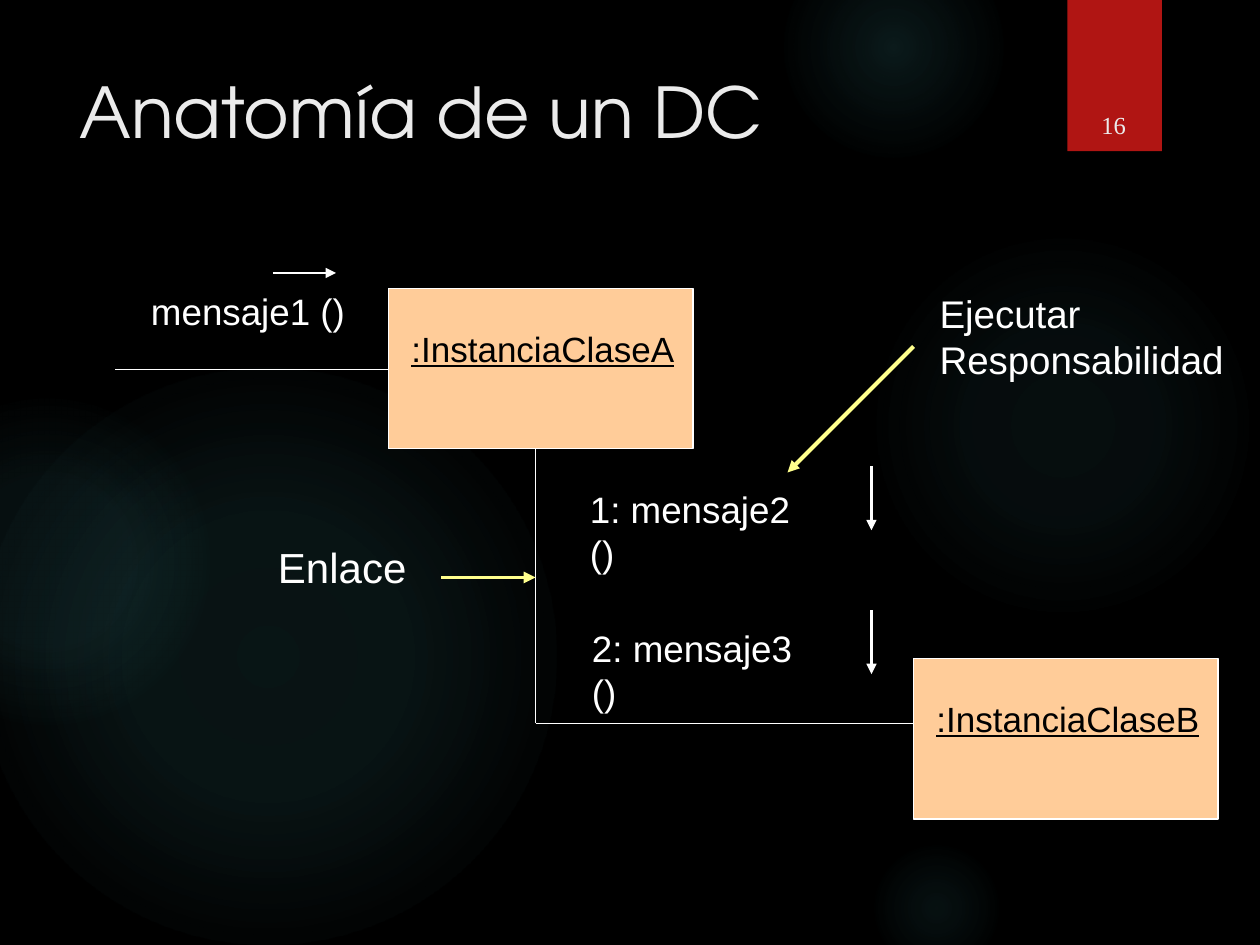
from lxml import etree
from pptx import Presentation, util as u
from pptx.dml.color import RGBColor
from pptx.enum import shapes, text
from pptx.oxml import parse_xml
from pptx.oxml.ns import nsdecls, qn

COLORS = {"night": "000000", "glow": "50B9C1", "tab": "B01513", "heading": "EBEBEB",
          "box": "FFCC99", "white": "FFFFFF", "callout": "FFFF8D"}
COLUMNS, ROWS = 120, 90

deck = Presentation()
deck.slide_width, deck.slide_height = u.Inches(10), u.Inches(7.5)
column, row = deck.slide_width / COLUMNS, deck.slide_height / ROWS
slide = deck.slides.add_slide(deck.slide_layouts[6])
slide.background.fill.solid()
slide.background.fill.fore_color.rgb = RGBColor.from_string(COLORS["night"])


def grid(*cells):
    return [round(cell * (row if i % 2 else column)) for i, cell in enumerate(cells)]


def add_block(preset, cells, fill):
    block = slide.shapes.add_shape(preset, *grid(*cells))
    block.shadow.inherit = False
    block.line.fill.background()
    block.fill.solid()
    block.fill.fore_color.rgb = RGBColor.from_string(COLORS[fill])
    return block


glows = [
    (82.7, 22, 37, [(0, 7), (36, 6), (69, 0)]),
    (74.6, -6, 21, [(0, 14), (36, 7), (73, 0)]),
    (82.7, 80, 13, [(0, 9), (36, 5), (66, 0)]),
    (-2, 35, 55, [(0, 11), (36, 10), (75, 0)]),
    (-11, 38, 31, [(0, 8), (36, 8), (72, 0)]),
]
for left, top, size, stops in glows:
    glow = add_block(shapes.MSO_SHAPE.OVAL, (left, top, size, size), "glow")
    stop_list = "".join(
        f'<a:gs pos="{pos * 1000}"><a:srgbClr val="{COLORS["glow"]}">'
        f'<a:alpha val="{alpha * 1000}"/></a:srgbClr></a:gs>' for pos, alpha in stops)
    gradient = parse_xml(
        f'<a:gradFill {nsdecls("a")} rotWithShape="1"><a:gsLst>{stop_list}</a:gsLst>'
        '<a:path path="circle"><a:fillToRect l="50000" t="50000" r="50000" b="50000"/>'
        '</a:path></a:gradFill>')
    properties = glow.element.spPr
    properties.replace(properties.find(qn("a:solidFill")), gradient)

add_block(shapes.MSO_SHAPE.RECTANGLE, (101.65, 0, 9, 14.4), "tab")

for left, top in [(37, 27.5), (87, 62.75)]:
    instance = add_block(shapes.MSO_SHAPE.RECTANGLE, (left, top, 29, 15.25), "box")
    instance.line.color.rgb = RGBColor.from_string(COLORS["white"])
    instance.line.width = u.Pt(0.75)

links = [
    ((11, 35.2, 37, 35.2), "white", 0.75, False),
    ((51, 42.8, 51, 68.9), "white", 0.75, False),
    ((51, 68.9, 87, 68.9), "white", 0.75, False),
    ((26, 26, 32, 26), "white", 1.5, True),
    ((83, 44.4, 83, 50.5), "white", 1.5, True),
    ((83, 58.1, 83, 64.2), "white", 1.5, True),
    ((42, 55, 51, 55), "callout", 2.25, True),
    ((87, 33, 75, 45), "callout", 2.25, True),
]
for ends, color, width, arrow in links:
    link = slide.shapes.add_connector(shapes.MSO_CONNECTOR.STRAIGHT, *grid(*ends))
    link.line.color.rgb = RGBColor.from_string(COLORS[color])
    link.line.width = u.Pt(width)
    if arrow:
        etree.SubElement(link.line._get_or_add_ln(), qn("a:tailEnd"), type="triangle")
    etree.SubElement(link.element.spPr, qn("a:effectLst"))

heading = {"name": "TeX Gyre Adventor", "size": u.Pt(40)}
number = {"name": "Times New Roman", "size": u.Pt(14)}
instance_name = {"name": "Arial", "size": u.Pt(20), "underline": True}
message = {"name": "Arial", "size": u.Pt(21)}
link_note = {"name": "Arial", "size": u.Pt(24)}
duty_note = {"name": "Arial", "size": u.Pt(22)}

labels = [
    ("Anatomía de un DC", (6.4, 5.9, 92.6, 18.4), heading, "heading", True),
    ("16", (101.9, 3.8, 8.3, 10.1), number, "heading", True),
    (":InstanciaClaseA", (38, 30.6, 27.5, 5.2), instance_name, "night", False),
    (":InstanciaClaseB", (88, 65.8, 27.5, 5.2), instance_name, "night", False),
    ("mensaje1 ()", (13.2, 26.9, 20.9, 5.4), message, "white", False),
    ("1: mensaje2 ()", (55, 45.8, 24.7, 5.4), message, "white", False),
    ("2: mensaje3 ()", (55.2, 59, 24.7, 5.4), message, "white", False),
    ("Enlace", (25.3, 51, 14.6, 6), link_note, "white", False),
    ("Ejecutar Responsabilidad", (88.3, 27, 33.7, 10), duty_note, "white", True),
]
for wording, cells, style, color, wrap in labels:
    frame = slide.shapes.add_textbox(*grid(*cells)).text_frame
    frame.word_wrap = wrap
    paragraph = frame.paragraphs[0]
    run = paragraph.add_run()
    run.text = wording
    run.font.color.rgb = RGBColor.from_string(COLORS[color])
    for attribute, value in style.items():
        setattr(run.font, attribute, value)
    if style is number:
        frame.vertical_anchor = text.MSO_ANCHOR.BOTTOM
        paragraph.alignment = text.PP_ALIGN.CENTER

deck.save("out.pptx")
